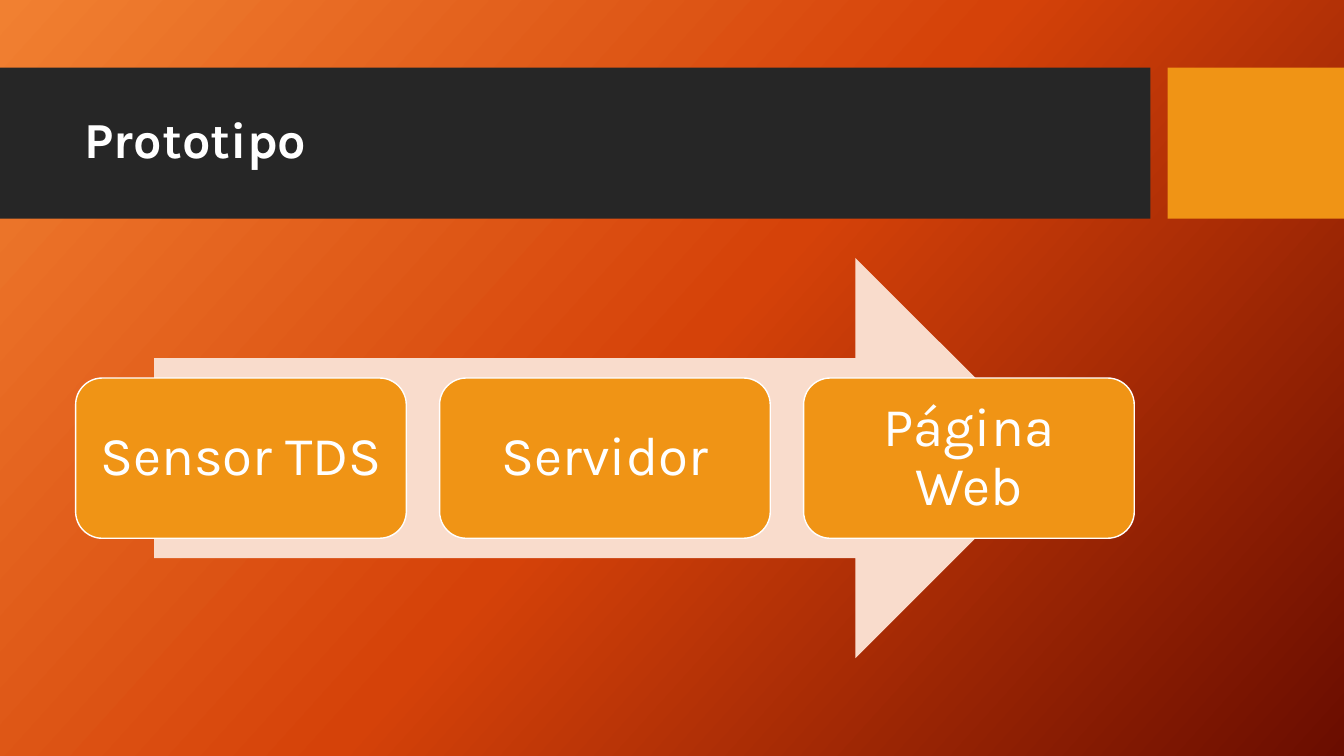
"""Build the Prototipo slide: a title band above a three-step arrow process."""
from copy import deepcopy

from pptx import Presentation
from pptx.dml.color import RGBColor
from pptx.enum.shapes import MSO_SHAPE
from pptx.enum.text import MSO_ANCHOR, PP_ALIGN
from pptx.oxml.ns import qn
from pptx.util import Inches, Pt

RECT = MSO_SHAPE.RECTANGLE
ROUNDED = MSO_SHAPE.ROUNDED_RECTANGLE
ARROW = MSO_SHAPE.RIGHT_ARROW
MIDDLE = MSO_ANCHOR.MIDDLE
LEFT, CENTER = PP_ALIGN.LEFT, PP_ALIGN.CENTER

COLORS = {"band": "262626", "accent": "F09415", "arrow": "F9DCCC", "white": "FFFFFF"}
GRADIENT = [(0, "F18031"), (0.5, "D54209"), (1, "6A0D00")]
FONT = "Karla"
WIDTH, HEIGHT = 13.33, 7.5
BAND_TOP, BAND_HEIGHT = 0.67, 1.5
STEPS = ["Sensor TDS", "Servidor", "Página Web"]
STEP_LEFT, STEP_TOP, STEP_PITCH = 0.75, 3.75, 3.61
STEP_WIDTH, STEP_HEIGHT = 3.28, 1.59


def add_box(kind, left, top, width, height, color):
    sp = s.shapes.add_shape(kind, Inches(left), Inches(top), Inches(width), Inches(height))
    sp.shadow.inherit = False
    sp.fill.solid()
    sp.fill.fore_color.rgb = RGBColor.from_string(COLORS[color])
    sp.line.fill.background()
    return sp


def write(sp, text, size, bold=False, align=LEFT, inset_x=0.1, inset_y=0.05):
    tf = sp.text_frame
    tf.word_wrap = True
    tf.vertical_anchor = MIDDLE
    tf.margin_left = tf.margin_right = Inches(inset_x)
    tf.margin_top = tf.margin_bottom = Inches(inset_y)
    p = tf.paragraphs[0]
    p.alignment = align
    p.line_spacing = 0.9
    r = p.add_run()
    r.text = text
    r.font.name = FONT
    r.font.size = Pt(size)
    r.font.bold = bold
    r.font.color.rgb = RGBColor.from_string(COLORS["white"])


prs = Presentation()
prs.slide_width, prs.slide_height = Inches(WIDTH), Inches(HEIGHT)
s = prs.slides.add_slide(prs.slide_layouts[5])

fill = s.background.fill
fill.gradient()
fill.gradient_angle = 360 - 42
stops = next(s.element.iter(qn("a:gsLst")))
stops.append(deepcopy(stops[-1]))
for stop, (position, color) in zip(fill.gradient_stops, GRADIENT):
    stop.position = position
    stop.color.rgb = RGBColor.from_string(color)

add_box(RECT, 0, BAND_TOP, 11.41, BAND_HEIGHT, "band")
add_box(RECT, 11.58, BAND_TOP, 1.75, BAND_HEIGHT, "accent")

title = s.shapes.title
title.left, title.top = Inches(0.74), Inches(0.82)
title.width, title.height = Inches(10.51), Inches(1.18)
write(title, "Prototipo", 36, bold=True)
title.element.getparent().append(title.element)

add_box(ARROW, 1.53, 2.56, 8.94, 3.97, "arrow")
for i, step in enumerate(STEPS):
    sp = add_box(ROUNDED, STEP_LEFT + i * STEP_PITCH, STEP_TOP, STEP_WIDTH, STEP_HEIGHT, "accent")
    sp.line.color.rgb = RGBColor.from_string(COLORS["white"])
    sp.line.width = Pt(1)
    write(sp, step, 39, align=CENTER, inset_x=0.16, inset_y=0.16)

prs.save("out.pptx")
